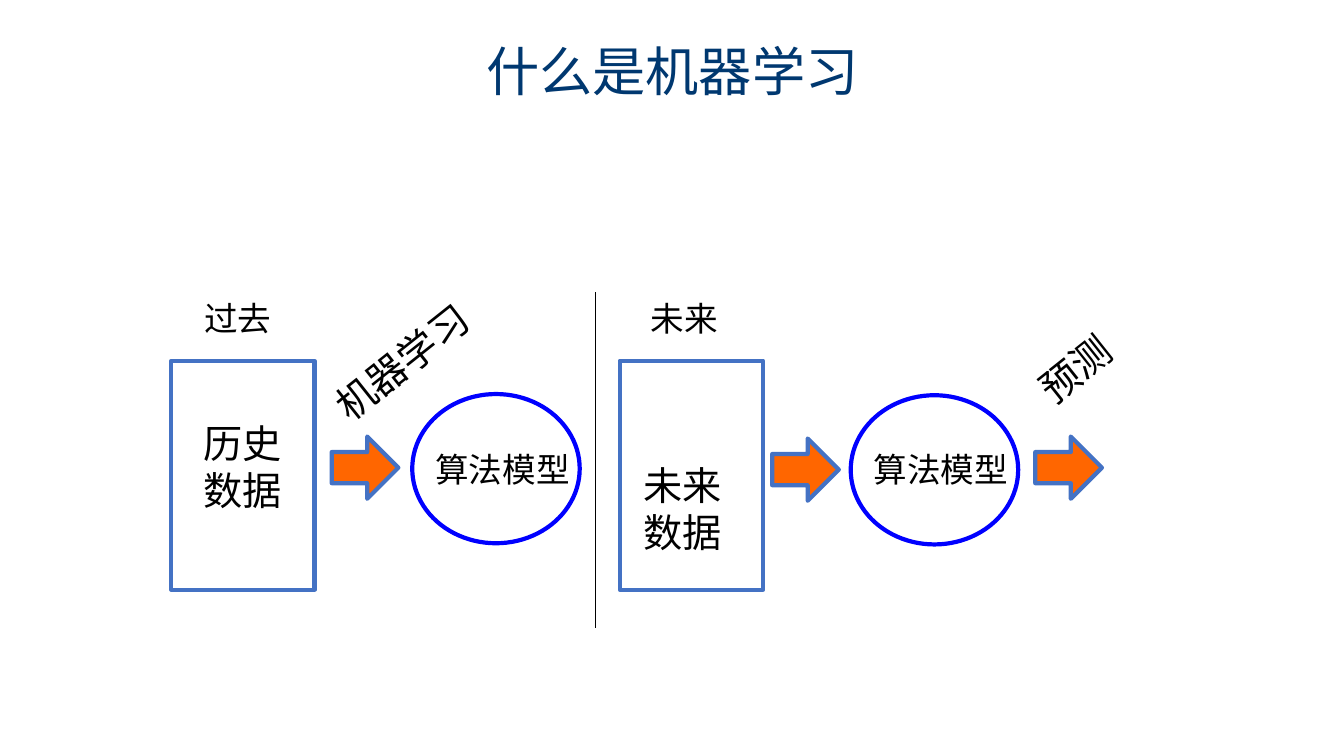
from lxml import etree
from pptx import Presentation
from pptx.dml.color import RGBColor
from pptx.enum.shapes import MSO_CONNECTOR, MSO_SHAPE
from pptx.enum.text import MSO_ANCHOR, MSO_AUTO_SIZE, PP_ALIGN
from pptx.oxml.ns import qn
from pptx.util import Cm, Pt

RECTANGLE = MSO_SHAPE.RECTANGLE
ELLIPSE = MSO_SHAPE.OVAL
ARROW = MSO_SHAPE.RIGHT_ARROW
STRAIGHT = MSO_CONNECTOR.STRAIGHT
MIDDLE = MSO_ANCHOR.MIDDLE
LEFT = PP_ALIGN.LEFT
CENTER = PP_ALIGN.CENTER
RESIZE = MSO_AUTO_SIZE.SHAPE_TO_FIT_TEXT
NO_RESIZE = MSO_AUTO_SIZE.NONE

CHINESE_FONT = "Noto Sans CJK SC"
BLACK = "000000"
NAVY = "003870"
STEEL_BLUE = "4472C4"
BRIGHT_BLUE = "0000FF"
ORANGE = "FF6600"
SLOPE = 321.5


def color(hex_string):
    return RGBColor.from_string(hex_string)


def apply_format(target, values):
    for name, value in values.items():
        setattr(target, name, value)


def place(shape, left, top, width, height):
    box = {"left": left, "top": top, "width": width, "height": height}
    apply_format(shape, {name: Cm(value) for name, value in box.items()})


def write_line(paragraph, text, size, hex_color, font_name, alignment):
    paragraph.alignment = alignment
    run = paragraph.add_run()
    run.text = text
    apply_format(run.font, {"size": Pt(size), "name": font_name, "bold": False})
    run.font.color.rgb = color(hex_color)
    east_asian = etree.SubElement(run.font._element, qn("a:ea"))
    east_asian.set("typeface", CHINESE_FONT)


def add_title(slide, text):
    title = slide.shapes.title
    place(title, 2.34, 0.03, 29.21, 3.68)
    frame = title.text_frame
    apply_format(frame, {"vertical_anchor": MIDDLE, "word_wrap": True, "auto_size": NO_RESIZE})
    paragraph = frame.paragraphs[0]
    paragraph.line_spacing = 0.9
    write_line(paragraph, text, 38, NAVY, CHINESE_FONT, CENTER)


def add_label(slide, lines, box, size, alignment=LEFT, rotation=0):
    label = slide.shapes.add_textbox(0, 0, 0, 0)
    place(label, *box)
    label.rotation = rotation
    frame = label.text_frame
    apply_format(frame, {"word_wrap": False, "auto_size": RESIZE})
    for index, line in enumerate(lines):
        paragraph = frame.add_paragraph() if index else frame.paragraphs[0]
        write_line(paragraph, line, size, BLACK, "Calibri", alignment)


def add_outline(slide, kind, box, line_color, fill_color=None):
    shape = slide.shapes.add_shape(kind, 0, 0, 0, 0)
    place(shape, *box)
    shape.shadow.inherit = False
    if fill_color:
        shape.fill.solid()
        shape.fill.fore_color.rgb = color(fill_color)
    else:
        shape.fill.background()
    shape.line.color.rgb = color(line_color)
    shape.line.width = Pt(3)


def add_data_box(slide, left, lines, text_left, text_top):
    add_outline(slide, RECTANGLE, (left, 9.09, 3.61, 5.77), STEEL_BLUE)
    add_label(slide, lines, (text_left, text_top, 2.51, 2.64), 28, CENTER)


def add_model(slide, left, top):
    add_outline(slide, ELLIPSE, (left, top, 4.22, 3.76), BRIGHT_BLUE)
    add_label(slide, ["算法模型"], (left + 0.33, 11.18, 3.94, 1.27), 24)


def add_divider(slide, x, top, bottom):
    divider = slide.shapes.add_connector(STRAIGHT, Cm(x), Cm(top), Cm(x), Cm(bottom))
    divider.line.color.rgb = color(BLACK)
    divider.line.width = Pt(1)
    etree.SubElement(divider._element.spPr, qn("a:effectLst"))


def main():
    presentation = Presentation()
    presentation.slide_width = Cm(33.87)
    presentation.slide_height = Cm(19.05)
    slide = presentation.slides.add_slide(presentation.slide_layouts[5])

    add_title(slide, "什么是机器学习")
    add_data_box(slide, 4.32, ["历史", "数据"], 4.85, 10.44)
    add_data_box(slide, 15.62, ["未来", "数据"], 15.95, 11.51)
    for left, top in ((10.39, 9.93), (21.44, 9.96)):
        add_model(slide, left, top)
    for left, top in ((8.36, 11), (19.46, 11.05), (26.09, 11)):
        add_outline(slide, ARROW, (left, top, 1.68, 1.57), STEEL_BLUE, ORANGE)
    for caption, left in (("过去", 4.9), ("未来", 16.15)):
        add_label(slide, [caption], (left, 7.37, 2.24, 1.27), 24)
    for step, left, top, width in (("机器学习", 7.9, 8.38, 4.5), ("预测", 25.86, 8.56, 2.51)):
        add_label(slide, [step], (left, top, width, 1.45), 28, rotation=SLOPE)
    add_divider(slide, 15.01, 7.37, 15.82)

    presentation.save("out.pptx")


if __name__ == "__main__":
    main()
